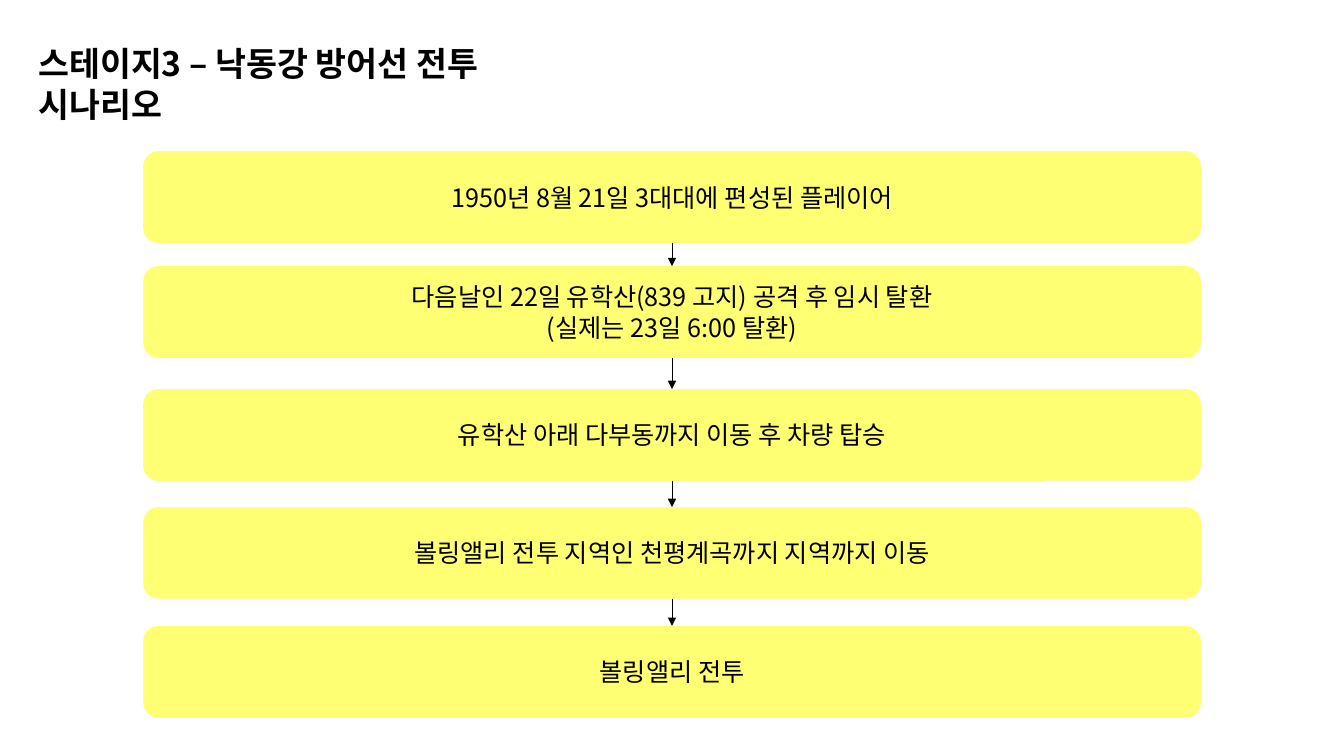
from lxml import etree
from pptx import Presentation
from pptx import util as u
from pptx.dml.color import RGBColor
from pptx.enum import shapes, text
from pptx.oxml import ns

PX = 9144  # 100 px to the inch
BLACK = RGBColor(0, 0, 0)
YELLOW = RGBColor(255, 255, 0)
FONT = "Noto Sans CJK KR"

TITLE = "스테이지3 – 낙동강 방어선 전투\n시나리오"
LEFT, WIDTH, HEIGHT = 142, 1049, 91
STEPS = [
    (150, "1950년 8월 21일 3대대에 편성된 플레이어"),
    (264, "다음날인 22일 유학산(839 고지) 공격 후 임시 탈환\n(실제는 23일 6:00 탈환)"),
    (386, "유학산 아래 다부동까지 이동 후 차량 탑승"),
    (503, "볼링앨리 전투 지역인 천평계곡까지 지역까지 이동"),
    (621, "볼링앨리 전투"),
]


def px(*vals):
    return [u.Emu(val * PX) for val in vals]


def put(obj, form):
    for key, val in form.items():
        setattr(obj, key, val)


def add_tag(node, tag, **attrs):
    return etree.SubElement(node, ns.qn(tag), attrs)


def write(shape, words, align, frame, font):
    """Fill a shape with one paragraph for each line of words."""
    body = shape.text_frame
    body.text = words
    put(body, frame)
    for para in body.paragraphs:
        para.alignment = align
        for run in para.runs:
            put(run.font, {"name": FONT, **font})
            run.font.color.rgb = BLACK
            add_tag(run.font._element, "a:ea", typeface=FONT)


def add_title(slide):
    title = slide.shapes.title
    left, top, width, height = px(28, 38, 509, 91)
    put(title, {"left": left, "top": top, "width": width, "height": height})
    frame = {
        "word_wrap": False,
        "auto_size": text.MSO_AUTO_SIZE.SHAPE_TO_FIT_TEXT,
        "vertical_anchor": text.MSO_ANCHOR.TOP,
    }
    write(title, TITLE, text.PP_ALIGN.LEFT, frame, {"size": u.Pt(24), "bold": True})


def add_step(slide, top, words):
    step = slide.shapes.add_shape(
        shapes.MSO_SHAPE.ROUNDED_RECTANGLE, *px(LEFT, top, WIDTH, HEIGHT))
    step.shadow.inherit = False
    step.fill.solid()
    step.fill.fore_color.rgb = YELLOW
    tint = step._element.spPr.find(".//" + ns.qn("a:srgbClr"))
    add_tag(tint, "a:alpha", val="55000")
    step.line.fill.background()
    frame = {"word_wrap": True, "vertical_anchor": text.MSO_ANCHOR.MIDDLE}
    write(step, words, text.PP_ALIGN.CENTER, frame, {"size": u.Pt(18)})
    return step


def add_arrow(slide, start, end):
    arrow = slide.shapes.add_connector(shapes.MSO_CONNECTOR.STRAIGHT, 0, 0, 0, 0)
    arrow.begin_connect(start, 2)
    arrow.end_connect(end, 0)
    arrow.line.width = u.Pt(0.5)
    arrow.line.color.rgb = BLACK
    add_tag(arrow.line._get_or_add_ln(), "a:tailEnd", type="triangle")
    add_tag(arrow._element.spPr, "a:effectLst")


def main():
    deck = Presentation()
    deck.slide_width, deck.slide_height = px(1333, 750)
    slide = deck.slides.add_slide(deck.slide_layouts[5])
    add_title(slide)
    steps = [add_step(slide, top, words) for top, words in STEPS]
    for start, end in zip(steps, steps[1:]):
        add_arrow(slide, start, end)
    deck.save("out.pptx")


if __name__ == "__main__":
    main()
